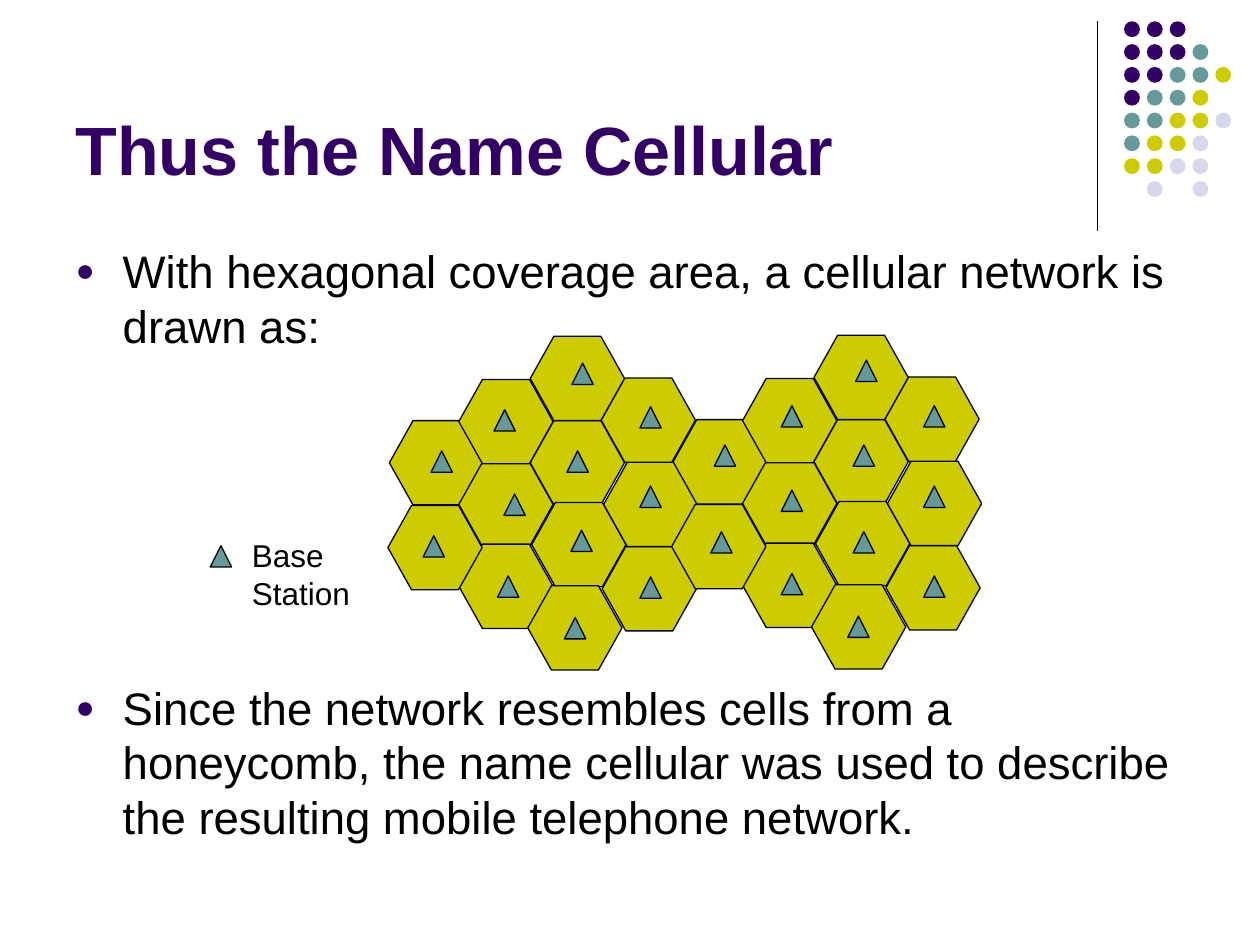
"""Build the slide that explains the name of cellular networks."""
import pptx
import pptx.dml.color
import pptx.enum.shapes
import pptx.enum.text
import pptx.oxml
import pptx.oxml.ns
import pptx.util

Cm = pptx.util.Cm
Pt = pptx.util.Pt
SHAPE = pptx.enum.shapes.MSO_SHAPE
ANCHOR = pptx.enum.text.MSO_ANCHOR

PURPLE, TEAL, OLIVE, LILAC, BLACK = "330066", "669999", "CCCC00", "D8D8EC", "000000"
DOT_COLORS = {"P": PURPLE, "T": TEAL, "O": OLIVE, "L": LILAC}
DOT_ROWS = ["PPP", "PPPT", "PPTTO", "PTTO", "TTOOL", "TOOL", "OOLL", " L L"]
DOT_PITCH = 0.46

CLUSTER_SHIFTS = [(0, 0), (5.72, -0.02)]
CELLS = [
    (7.85, 8.48), (9.25, 9.32), (9.25, 7.65), (10.69, 8.48),
    (10.72, 10.13), (9.25, 10.97), (7.82, 10.19), (10.64, 11.81),
    (12.14, 11.02), (12.17, 9.32), (12.12, 7.62), (10.69, 6.78),
]
LEGEND_STATION = (4.24, 11)
STATIONS = [
    (8.53, 10.8), (8.69, 9.09), (9.96, 8.26), (10.16, 9.96), (10.03, 11.61),
    (11.38, 12.45), (11.51, 10.69), (11.43, 9.09), (11.53, 7.32),
    (12.9, 8.2), (12.9, 9.8), (12.9, 11.63), (14.33, 10.72), (14.4, 8.97),
    (15.75, 8.18), (15.75, 9.88), (15.75, 11.56), (17.09, 12.42),
    (17.2, 10.72), (17.2, 8.97), (17.25, 7.26),
    (18.62, 8.18), (18.62, 9.8), (18.62, 11.61),
]
BULLETS = [
    ("With hexagonal coverage area, a cellular network is drawn as:", 0),
    ("Since the network resembles cells from a honeycomb, the name cellular "
     "was used to describe the resulting mobile telephone network.", 187),
]


def rgb(value):
    """Turn a hex string into a colour."""
    return pptx.dml.color.RGBColor.from_string(value)


def place(box, left, top, width, height):
    """Set the position and size of a box in centimetres."""
    box.left, box.top, box.width, box.height = map(Cm, (left, top, width, height))


def add_span(para, text, size, color, bold=False):
    """Add one formatted run to a paragraph."""
    span = para.add_run()
    span.text = text
    span.font.name = "Arial"
    span.font.size = Pt(size)
    span.font.bold = bold
    span.font.color.rgb = rgb(color)


def add_figure(page, kind, left, top, width, height, fill, outlined=True):
    """Add a filled preset shape without a shadow."""
    figure = page.shapes.add_shape(kind, *map(Cm, (left, top, width, height)))
    figure.shadow.inherit = False
    figure.fill.solid()
    figure.fill.fore_color.rgb = rgb(fill)
    if outlined:
        figure.line.color.rgb = rgb(BLACK)
        figure.line.width = Pt(0.75)
    else:
        figure.line.fill.background()
    return figure


def add_corner(page):
    """Draw the vertical rule and the dot pattern in the top right corner."""
    rule = page.shapes.add_connector(
        pptx.enum.shapes.MSO_CONNECTOR.STRAIGHT, Cm(22.12), Cm(0.43), Cm(22.12), Cm(4.65))
    rule.line.color.rgb = rgb(BLACK)
    rule.line.width = Pt(0.75)
    pptx.oxml.ns.qn("a:effectLst")
    rule._element.spPr.append(pptx.oxml.parse_xml(
        f'<a:effectLst {pptx.oxml.ns.nsdecls("a")}/>'))
    for row, letters in enumerate(DOT_ROWS):
        for column, letter in enumerate(letters):
            if letter in DOT_COLORS:
                add_figure(page, SHAPE.OVAL, 22.66 + column * DOT_PITCH,
                           0.43 + row * DOT_PITCH, 0.32, 0.32,
                           DOT_COLORS[letter], outlined=False)


def fill_title(page):
    """Write the title."""
    box = page.shapes.title
    place(box, 1.27, 0.33, 20.96, 3.61)
    box.text_frame.vertical_anchor = ANCHOR.BOTTOM
    para = box.text_frame.paragraphs[0]
    para.alignment = pptx.enum.text.PP_ALIGN.LEFT
    add_span(para, "Thus the Name Cellular", 39, PURPLE, bold=True)


def set_bullet(para):
    """Give a paragraph a hanging purple bullet."""
    properties = para._p.get_or_add_pPr()
    properties.set("marL", str(Cm(0.95)))
    properties.set("indent", str(-Cm(0.95)))
    namespace = pptx.oxml.ns.nsdecls("a")
    for xml in (f'<a:buClr {namespace}><a:srgbClr val="{PURPLE}"/></a:buClr>',
                f'<a:buSzPct {namespace} val="70000"/>',
                f'<a:buFont {namespace} typeface="Arial"/>',
                f'<a:buChar {namespace} char="●"/>'):
        properties.append(pptx.oxml.parse_xml(xml))


def fill_body(page):
    """Write the two bullets, leaving room for the network between them."""
    box = page.placeholders[1]
    place(box, 1.27, 4.78, 22.86, 13.44)
    frame = box.text_frame
    for index, (text, gap) in enumerate(BULLETS):
        para = frame.add_paragraph() if index else frame.paragraphs[0]
        set_bullet(para)
        para.space_before = Pt(gap)
        add_span(para, text, 26, BLACK)


def add_network(page):
    """Draw both clusters of cells and their base stations."""
    for shift_x, shift_y in CLUSTER_SHIFTS:
        for left, top in CELLS:
            cell = add_figure(page, SHAPE.HEXAGON, left + shift_x, top + shift_y,
                              1.9, 1.7, OLIVE)
            cell.adjustments[0] = 0.28
    for left, top in [LEGEND_STATION, *STATIONS]:
        add_figure(page, SHAPE.ISOSCELES_TRIANGLE, left, top, 0.43, 0.43, TEAL)


def add_legend(page):
    """Label the base station symbol."""
    box = page.shapes.add_textbox(Cm(4.83), Cm(10.69), Cm(2.49), Cm(1.78))
    frame = box.text_frame
    frame.word_wrap = False
    for index, text in enumerate(["Base", "Station"]):
        para = frame.add_paragraph() if index else frame.paragraphs[0]
        add_span(para, text, 18, BLACK)


def main():
    """Build and save the deck."""
    deck = pptx.Presentation()
    deck.slide_width, deck.slide_height = Cm(25.4), Cm(19.05)
    page = deck.slides.add_slide(deck.slide_layouts[1])
    add_corner(page)
    fill_title(page)
    fill_body(page)
    add_network(page)
    add_legend(page)
    deck.save("out.pptx")


if __name__ == "__main__":
    main()
